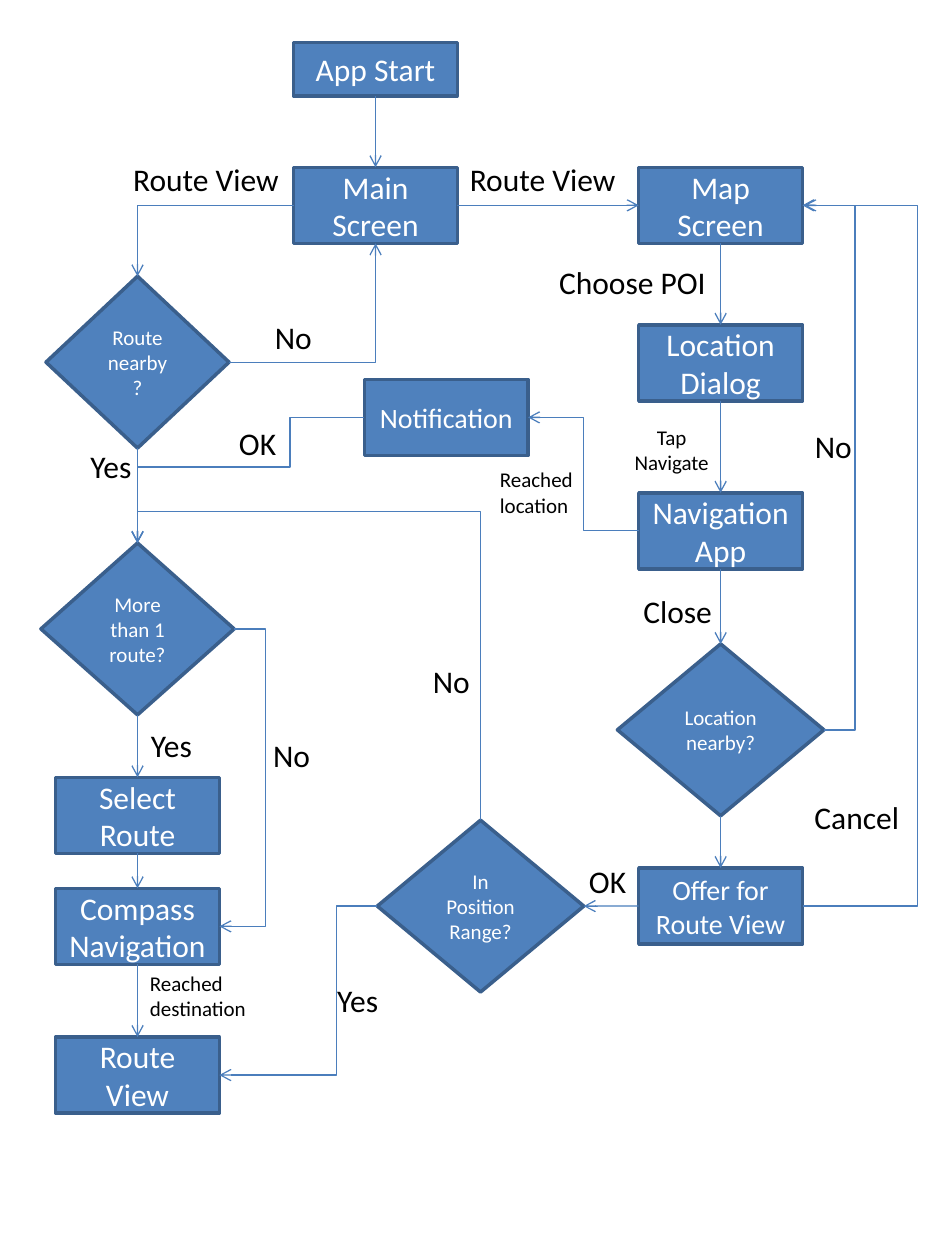
"""Build the flow chart of a navigation app on one portrait slide."""
from lxml import etree
from pptx import Presentation
from pptx.dml.color import RGBColor
from pptx.enum.shapes import MSO_CONNECTOR as LINK, MSO_SHAPE as SHAPE
from pptx.enum.text import MSO_ANCHOR as ANCHOR, MSO_AUTO_SIZE as FIT, PP_ALIGN as ALIGN
from pptx.oxml.ns import qn
from pptx.util import Pt

FILL = RGBColor(0x4F, 0x81, 0xBD)
EDGE = RGBColor(0x3A, 0x5F, 0x8C)
WIRE = RGBColor(0x4B, 0x7E, 0xBC)
WHITE = RGBColor(0xFF, 0xFF, 0xFF)
BLACK = RGBColor(0, 0, 0)

TOP, LEFT, BOTTOM, RIGHT = range(4)
BOX_WIDTH, BOX_HEIGHT, DIAMOND_HEIGHT = 93.6, 43.5, 98.2
COL_ROUTE, COL_MAIN, COL_MAP = 78.6, 214.6, 411.8

BOXES = {
    "start": ("App Start", COL_MAIN, 24.2, 18, 30.6),
    "main": ("Main Screen", COL_MAIN, 95.6, 18, BOX_HEIGHT),
    "select": ("Select Route", COL_ROUTE, 444.2, 18, BOX_HEIGHT),
    "compass": ("Compass Navigation", COL_ROUTE, 507.6, 18, BOX_HEIGHT),
    "route": ("Route View", COL_ROUTE, 592.6, 18, BOX_HEIGHT),
    "map": ("Map Screen", COL_MAP, 95.6, 18, BOX_HEIGHT),
    "dialog": ("Location Dialog", COL_MAP, 185.6, 18, BOX_HEIGHT),
    "navigation": ("Navigation App", COL_MAP, 281.6, 18, BOX_HEIGHT),
    "notification": ("Notification", 255, 216.8, 16, BOX_HEIGHT),
    "offer": ("Offer for Route View", COL_MAP, 496, 16, BOX_HEIGHT),
}
DIAMONDS = {
    "nearby": ("Route nearby?", COL_ROUTE, 157.9, 104.6),
    "several": ("More than 1 route?", COL_ROUTE, 310.3, 110.4),
    "location": ("Location nearby?", COL_MAP, 368, 118),
    "range": ("In Position Range?", 274.6, 468.7, 118),
}
DOWN_ARROWS = [
    ("start", "main"), ("nearby", "several"), ("several", "select"),
    ("select", "compass"), ("compass", "route"), ("map", "dialog"),
    ("dialog", "navigation"), ("navigation", "location"), ("location", "offer"),
]
SIDE_ARROWS = [("main", RIGHT, "map", LEFT), ("offer", LEFT, "range", RIGHT)]
CORNERS = [("main", LEFT, "nearby", TOP), ("nearby", RIGHT, "main", BOTTOM)]
DETOURS = [
    ("several", RIGHT, "compass", RIGHT, 151.8),
    ("location", RIGHT, "map", RIGHT, 488.7),
    ("offer", RIGHT, "map", RIGHT, 525),
    ("navigation", LEFT, "notification", RIGHT, 333.6),
    ("range", LEFT, "route", RIGHT, 192.4),
    ("range", TOP, "several", TOP, 292.3),
]
LABELS = [
    ("Route View", 69, 88, 98.6), ("Route View", 261.4, 88, 98.6),
    ("No", 150, 178, 36), ("No", 149, 417.3, 36),
    ("No", 458.6, 240.5, 36), ("No", 240.3, 375, 36),
    ("Yes", 44.6, 252, 38.2), ("Yes", 79.2, 411.6, 38.2),
    ("Yes", 185.6, 557, 38.2), ("OK", 129.5, 239, 36),
    ("OK", 329.5, 489, 36), ("Choose POI", 312.4, 147, 98.6),
    ("Close", 360.5, 334.8, 54), ("Cancel", 458.3, 452.6, 63.4),
]
NOTES = [
    ("Reached destination", 78.6, 551, 106.6, ALIGN.LEFT),
    ("Tap Navigate", 352.8, 239, 62, ALIGN.CENTER),
    ("Reached location", 278.6, 263.3, 78.5, ALIGN.LEFT),
]


def assign(target, values):
    """Set every attribute named in values on target."""
    for name, value in values.items():
        setattr(target, name, value)


def write(box, text, size, color, align):
    """Put one formatted paragraph in a shape."""
    para = box.text_frame.paragraphs[0]
    para.alignment = align
    span = para.add_run()
    span.text = text
    assign(span.font, {"name": "Calibri", "size": Pt(size)})
    span.font.color.rgb = color


def add_node(page, kind, text, center, top, width, height, size):
    """Add a filled step or decision centred on a column."""
    node = page.shapes.add_shape(
        kind, Pt(center - width / 2), Pt(top), Pt(width), Pt(height))
    node.shadow.inherit = False
    node.fill.solid()
    node.fill.fore_color.rgb = FILL
    node.line.color.rgb = EDGE
    node.line.width = Pt(2)
    assign(node.text_frame, {"word_wrap": True, "vertical_anchor": ANCHOR.MIDDLE})
    write(node, text, size, WHITE, ALIGN.CENTER)
    return node


def add_label(page, text, left, top, width, height, size, wrap, align):
    """Add a plain black label beside an arrow."""
    box = page.shapes.add_textbox(Pt(left), Pt(top), Pt(width), Pt(height))
    assign(box.text_frame, {"word_wrap": wrap, "auto_size": FIT.SHAPE_TO_FIT_TEXT})
    write(box, text, size, BLACK, align)


def add_link(page, kind, begin, end, arrow=True):
    """Add a connector between (node, site) pairs or (x, y) points."""
    link = page.shapes.add_connector(kind, 0, 0, 0, 0)
    if isinstance(begin[0], (int, float)):
        assign(link, {"begin_x": Pt(begin[0]), "begin_y": Pt(begin[1])})
    else:
        link.begin_connect(*begin)
    if isinstance(end[0], (int, float)):
        assign(link, {"end_x": Pt(end[0]), "end_y": Pt(end[1])})
    else:
        link.end_connect(*end)
    link.line.color.rgb = WIRE
    link.line.width = Pt(0.75)
    properties = link._element.spPr
    if arrow:
        etree.SubElement(properties.find(qn("a:ln")), qn("a:tailEnd"), type="arrow")
    etree.SubElement(properties, qn("a:effectLst"))
    return link


def add_corner(page, begin, end):
    """Add an arrow that runs sideways and then turns once."""
    link = add_link(page, LINK.ELBOW, begin, end)
    link._element.spPr.find(qn("a:prstGeom")).set("prst", "bentConnector2")


def add_detour(page, begin, end, middle, upright=False, arrow=True):
    """Add an elbow whose middle stretch lies at the given x, or y if upright."""
    link = add_link(page, LINK.ELBOW, begin, end, arrow)
    if link.begin_x == link.end_x:
        link.end_x += Pt(1)
    x, y = link.begin_x, link.begin_y
    across, down = link.end_x - x, link.end_y - y
    ratio = (Pt(middle) - y) / down if upright else (Pt(middle) - x) / across
    properties = link._element.spPr
    if upright:
        center_x, center_y = x + across / 2, y + down / 2
        assign(link, {
            "begin_x": int(center_x - down / 2), "begin_y": int(center_y + across / 2),
            "end_x": int(center_x + down / 2), "end_y": int(center_y - across / 2)})
        properties.find(qn("a:xfrm")).set("rot", "5400000")
    guides = properties.find(qn("a:prstGeom")).find(qn("a:avLst"))
    etree.SubElement(guides, qn("a:gd"), name="adj1", fmla=f"val {round(ratio * 100000)}")


def main():
    """Draw nodes, connectors and labels, then save the deck."""
    deck = Presentation()
    assign(deck, {"slide_width": Pt(540), "slide_height": Pt(720)})
    page = deck.slides.add_slide(deck.slide_layouts[6])
    nodes = {}
    for name, (text, center, top, size, height) in BOXES.items():
        nodes[name] = add_node(
            page, SHAPE.RECTANGLE, text, center, top, BOX_WIDTH, height, size)
    for name, (text, center, top, width) in DIAMONDS.items():
        nodes[name] = add_node(
            page, SHAPE.FLOWCHART_DECISION, text, center, top, width, DIAMOND_HEIGHT, 12)

    straight = [(a, BOTTOM, b, TOP) for a, b in DOWN_ARROWS] + SIDE_ARROWS
    for source, leave, target, enter in straight:
        add_link(page, LINK.STRAIGHT, (nodes[source], leave), (nodes[target], enter))
    for source, leave, target, enter in CORNERS:
        add_corner(page, (nodes[source], leave), (nodes[target], enter))
    for source, leave, target, enter, middle in DETOURS:
        add_detour(page, (nodes[source], leave), (nodes[target], enter), middle,
                   upright=leave == TOP)
    junction = (123.4, 266.8)
    add_detour(page, (nodes["notification"], LEFT), junction, 165.8, arrow=False)
    add_corner(page, junction, (nodes["several"], TOP))

    for text, left, top, width in LABELS:
        add_label(page, text, left, top, width, 29, 18, False, ALIGN.LEFT)
    for text, left, top, width, align in NOTES:
        add_label(page, text, left, top, width, 36, 12, True, align)
    deck.save("out.pptx")


main()
